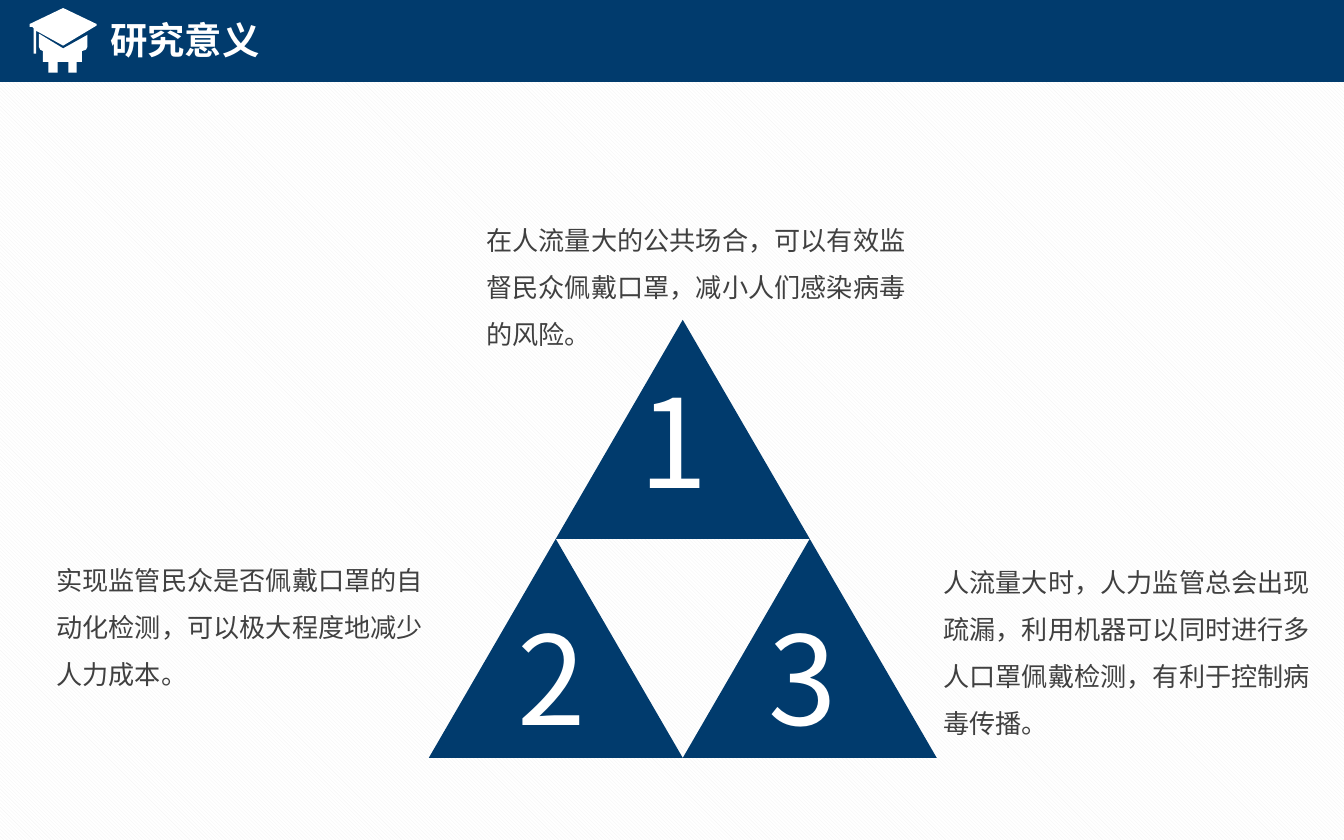
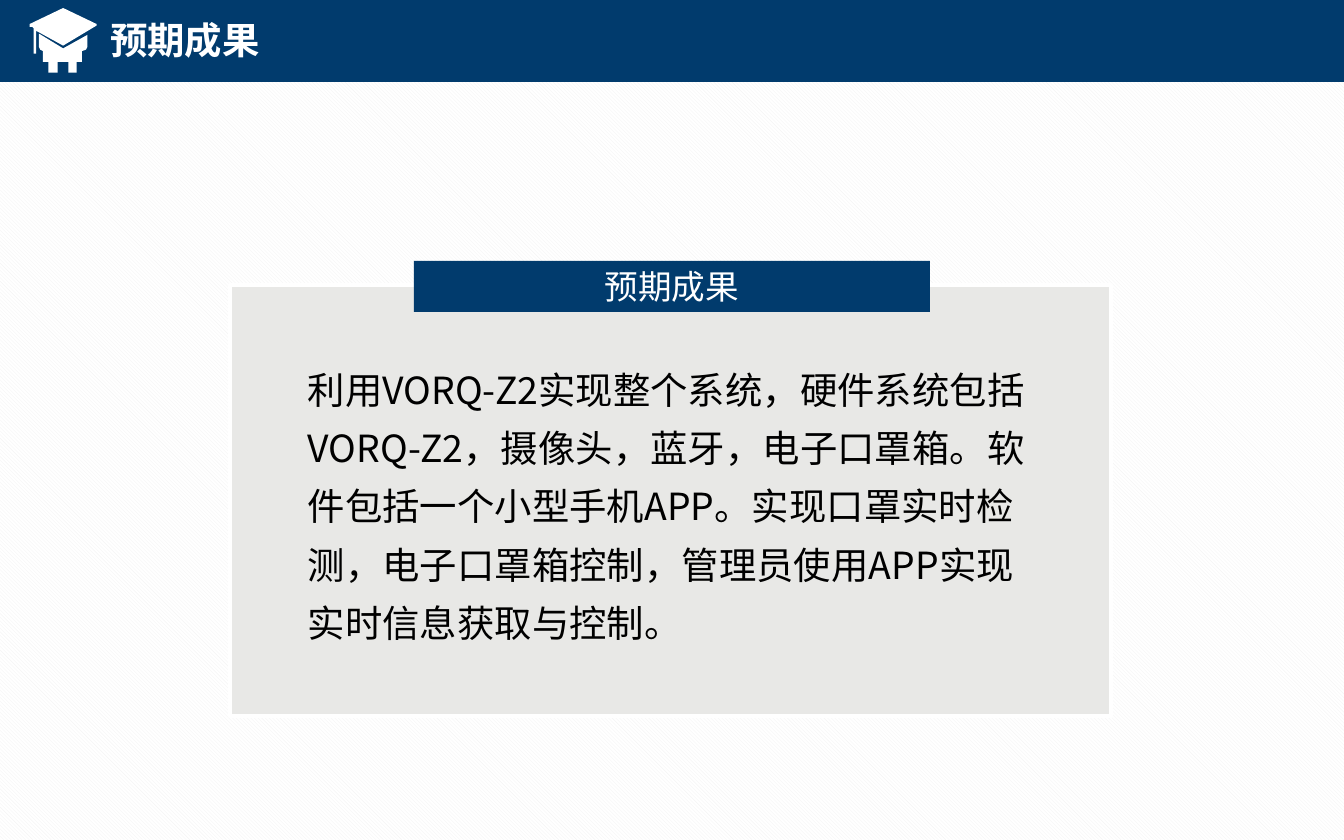
"""Builds two slides on a mask detection project: its significance and its expected results."""
from lxml import etree
from pptx import Presentation
from pptx.dml.color import RGBColor
from pptx.enum.dml import MSO_PATTERN
from pptx.enum.shapes import MSO_SHAPE
from pptx.enum.text import MSO_ANCHOR, MSO_AUTO_SIZE, PP_ALIGN
from pptx.oxml.ns import qn
from pptx.util import Inches, Pt

NAVY = RGBColor(0x01, 0x3B, 0x6D)
WHITE = RGBColor(0xFF, 0xFF, 0xFF)
BLACK = RGBColor(0, 0, 0)
INK = RGBColor(0x40, 0x40, 0x40)
PANEL = RGBColor(0xE8, 0xE8, 0xE6)
STRIPE = RGBColor(0xF2, 0xF2, 0xF2)
FONT = "Noto Sans CJK SC"
RECT = MSO_SHAPE.RECTANGLE
TRIANGLE = MSO_SHAPE.ISOSCELES_TRIANGLE
DIAGONAL = MSO_PATTERN.LIGHT_DOWNWARD_DIAGONAL
CENTER = PP_ALIGN.CENTER
MIDDLE = MSO_ANCHOR.MIDDLE
GROW = MSO_AUTO_SIZE.SHAPE_TO_FIT_TEXT

CAP = [(0.22, 0.2), (0.24, 0.2), (0.25, 0.21), (0.25, 0.4), (0.27, 0.4), (0.27, 0.23),
       (0.47, 0.34), (0.72, 0.19), (0.72, 0.18), (0.47, 0.06), (0.22, 0.18)]
HEAD = [(0.61, 0.38), (0.64, 0.37), (0.65, 0.35), (0.65, 0.26), (0.47, 0.36), (0.29, 0.25),
        (0.29, 0.35), (0.3, 0.37), (0.32, 0.38), (0.32, 0.46), (0.36, 0.46), (0.36, 0.54),
        (0.43, 0.54), (0.43, 0.46), (0.51, 0.46), (0.51, 0.54), (0.57, 0.54), (0.57, 0.46),
        (0.61, 0.46)]

SIGNIFICANCE = "研究意义"
REASONS = [
    ("1", (4.66, 2.67, 0.77, 1.21), (3.49, 1.48, 3.4, 1.19),
     "在人流量大的公共场合，可以有效监督民众佩戴口罩，减小人们感染病毒的风险。"),
    ("2", (3.75, 4.43, 0.8, 1.21), (0.29, 4.01, 3.05, 1.19),
     "实现监管民众是否佩戴口罩的自动化检测，可以极大程度地减少人力成本。"),
    ("3", (5.62, 4.43, 0.8, 1.21), (6.89, 4.03, 3.05, 1.55),
     "人流量大时，人力监管总会出现疏漏，利用机器可以同时进行多人口罩佩戴检测，有利于控制病毒传播。"),
]
RESULTS = "预期成果"
RESULT_TEXT = ("利用VORQ-Z2实现整个系统，硬件系统包括VORQ-Z2，摄像头，蓝牙，电子口罩箱。"
               "软件包括一个小型手机APP。实现口罩实时检测，电子口罩箱控制，"
               "管理员使用APP实现实时信息获取与控制。")
APEX_X, APEX_Y, SIDE, HEIGHT = 5.08, 2.38, 1.89, 1.63


def box(values):
    return [Inches(v) for v in values]


def paint(sp, color):
    sp.shadow.inherit = False
    sp.fill.solid()
    sp.fill.fore_color.rgb = color
    sp.line.fill.background()
    return sp


def add_block(shapes, kind, at, color):
    return paint(shapes.add_shape(kind, *box(at)), color)


def add_outline(shapes, points):
    start, *rest = [tuple(box(point)) for point in points]
    builder = shapes.build_freeform(*start)
    builder.add_line_segments(rest, close=True)
    paint(builder.convert_to_shape(), WHITE)


def write(tf, text, size, color, bold=None, spacing=None, inset=(0.1, 0.05)):
    tf.margin_left = tf.margin_right = Inches(inset[0])
    tf.margin_top = tf.margin_bottom = Inches(inset[1])
    p = tf.paragraphs[0]
    p.line_spacing = spacing
    r = p.add_run()
    r.text = text
    r.font.size, r.font.bold, r.font.name = Pt(size), bold, FONT
    r.font.color.rgb = color
    etree.SubElement(r.font._element, qn("a:ea"), typeface=FONT)
    return p


def add_text(shapes, at, text, size, color, wrap=True, **style):
    tf = shapes.add_textbox(*box(at)).text_frame
    tf.word_wrap = wrap
    tf.auto_size = GROW
    write(tf, text, size, color, **style)


def add_slide(prs, title):
    s = prs.slides.add_slide(prs.slide_layouts[6])
    fill = s.background.fill
    fill.patterned()
    fill.pattern = DIAGONAL
    fill.fore_color.rgb, fill.back_color.rgb = STRIPE, WHITE
    add_block(s.shapes, RECT, (0, 0, 10, 0.61), NAVY)
    heading = s.shapes.add_group_shape().shapes
    add_outline(heading, CAP)
    add_outline(heading, HEAD)
    add_text(heading, (0.72, 0.08, 3.81, 0.44), title, 20, WHITE, bold=True)
    return s.shapes


def build_significance(prs):
    shapes = add_slide(prs, SIGNIFICANCE)
    lower = APEX_Y + HEIGHT
    corners = [(APEX_X - SIDE / 2, APEX_Y), (APEX_X - SIDE, lower), (APEX_X, lower)]
    for corner in corners:
        add_block(shapes, TRIANGLE, (*corner, SIDE, HEIGHT), NAVY)
    for _, _, at, text in REASONS:
        add_text(shapes, at, text, 14, INK, spacing=1.5, inset=(0.13, 0.07))
    for number, at, _, _ in REASONS:
        add_text(shapes, at, number, 66, WHITE, wrap=False)


def build_results(prs):
    shapes = add_slide(prs, RESULTS)
    panel = add_block(shapes, RECT, (1.71, 2.12, 6.56, 3.21), PANEL)
    panel.line.color.rgb = WHITE
    panel.line.width = Pt(2)
    label = add_block(shapes, RECT, (3.08, 1.94, 3.84, 0.38), NAVY).text_frame
    label.vertical_anchor = MIDDLE
    write(label, RESULTS, 18, WHITE, inset=(0.08, 0.04)).alignment = CENTER
    add_text(shapes, (2.21, 2.59, 5.58, 2.26), RESULT_TEXT, 20, BLACK,
             spacing=1.3, inset=(0.08, 0.04))


prs = Presentation()
prs.slide_width, prs.slide_height = Inches(10), Inches(6.25)
build_significance(prs)
build_results(prs)
prs.save("out.pptx")
